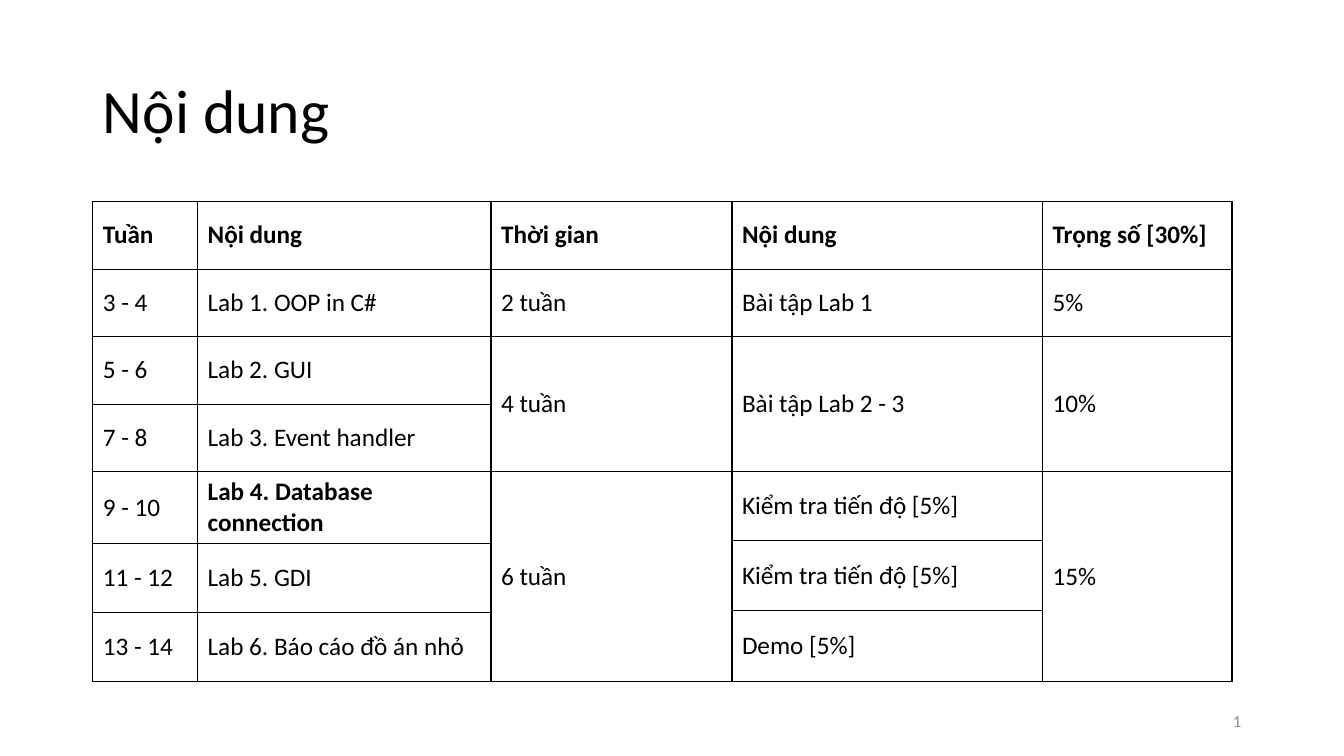
from lxml.etree import SubElement
from pptx import Presentation
from pptx.dml.color import RGBColor
from pptx.enum.text import MSO_ANCHOR, PP_ALIGN
from pptx.oxml.ns import qn
from pptx.util import Inches, Pt

WIDTH, HEIGHT = 13.33, 7.5
FONT, BLACK, GRAY = "Calibri", "000000", "8C8C8C"
COLUMN_WIDTHS = [1.04, 2.91, 2.39, 3.08, 1.88]
ROW_HEIGHTS = [0.67, 0.67, 0.67, 0.67, 0.68, 0.03, 0.67, 0.02, 0.68]
HEADINGS = ["Tuần", "Nội dung", "Thời gian", "Nội dung", "Trọng số [30%]"]
COLUMN_ENTRIES = [
    [(1, 1, "3 - 4"), (2, 1, "5 - 6"), (3, 1, "7 - 8"),
     (4, 2, "9 - 10"), (6, 2, "11 - 12"), (8, 1, "13 - 14")],
    [(1, 1, "Lab 1. OOP in C#"), (2, 1, "Lab 2. GUI"), (3, 1, "Lab 3. Event handler"),
     (4, 2, "Lab 4. Database connection"), (6, 2, "Lab 5. GDI"),
     (8, 1, "Lab 6. Báo cáo đồ án nhỏ")],
    [(1, 1, "2 tuần"), (2, 2, "4 tuần"), (4, 5, "6 tuần")],
    [(1, 1, "Bài tập Lab 1"), (2, 2, "Bài tập Lab 2 - 3"),
     (4, 1, "Kiểm tra tiến độ [5%]"), (5, 2, "Kiểm tra tiến độ [5%]"),
     (7, 2, "Demo [5%]")],
    [(1, 1, "5%"), (2, 2, "10%"), (4, 5, "15%")],
]
BOLD_ENTRIES = {"Lab 4. Database connection"}


def color(hex_string):
    """Turn a hex string into a colour."""
    return RGBColor.from_string(hex_string)


def write_text(frame, text, size=18, bold=False, hex_color=BLACK,
               align=PP_ALIGN.LEFT, line_spacing=1.0):
    """Write one formatted paragraph into a text frame."""
    frame.word_wrap = True
    paragraph = frame.paragraphs[0]
    paragraph.alignment = align
    paragraph.line_spacing = line_spacing
    run = paragraph.add_run()
    run.text = text
    run.font.name = FONT
    run.font.size = Pt(size)
    run.font.bold = bold
    run.font.color.rgb = color(hex_color)


def format_cell(cell, hex_color=BLACK, line_width=1):
    """Give a cell thin borders, no fill and centred height."""
    properties = cell._tc.get_or_add_tcPr()
    for side in ("a:lnL", "a:lnR", "a:lnT", "a:lnB"):
        line = SubElement(properties, qn(side), w=str(Pt(line_width)))
        fill = SubElement(line, qn("a:solidFill"))
        SubElement(fill, qn("a:srgbClr"), val=hex_color)
    cell.fill.background()
    cell.vertical_anchor = MSO_ANCHOR.MIDDLE


def add_title(slide, left, top, width, height):
    """Place the slide title in its placeholder."""
    title = slide.shapes.title
    title.left, title.top = Inches(left), Inches(top)
    title.width, title.height = Inches(width), Inches(height)
    title.text_frame.vertical_anchor = MSO_ANCHOR.MIDDLE
    write_text(title.text_frame, "Nội dung", size=44, line_spacing=0.9)


def add_schedule(slide, left, top):
    """Build the lab schedule with its merged cells."""
    frame = slide.shapes.add_table(
        len(ROW_HEIGHTS), len(COLUMN_WIDTHS), Inches(left), Inches(top),
        Inches(sum(COLUMN_WIDTHS)), Inches(sum(ROW_HEIGHTS)))
    table = frame.table
    table.first_row = table.horz_banding = False
    for column, width in zip(table.columns, COLUMN_WIDTHS):
        column.width = Inches(width)
    for row, height in zip(table.rows, ROW_HEIGHTS):
        row.height = Inches(height)
    for cell in table.iter_cells():
        format_cell(cell)
    for column, (heading, entries) in enumerate(zip(HEADINGS, COLUMN_ENTRIES)):
        write_text(table.cell(0, column).text_frame, heading, bold=True)
        for row, span, text in entries:
            cell = table.cell(row, column)
            if span > 1:
                cell.merge(table.cell(row + span - 1, column))
            write_text(cell.text_frame, text, bold=text in BOLD_ENTRIES)


def add_page_number(slide, left, top, width, height):
    """Place the page number at the lower right."""
    box = slide.shapes.add_textbox(
        Inches(left), Inches(top), Inches(width), Inches(height))
    box.text_frame.vertical_anchor = MSO_ANCHOR.MIDDLE
    write_text(box.text_frame, "1", size=12, hex_color=GRAY, align=PP_ALIGN.RIGHT)


def main():
    """Build the slide and save it."""
    presentation = Presentation()
    presentation.slide_width = Inches(WIDTH)
    presentation.slide_height = Inches(HEIGHT)
    slide = presentation.slides.add_slide(presentation.slide_layouts[5])
    margin = 0.92
    add_title(slide, margin, 0.4, 11.5, 1.45)
    add_schedule(slide, margin, 2)
    add_page_number(slide, WIDTH - margin - 3, 6.95, 3, 0.4)
    presentation.save("out.pptx")


if __name__ == "__main__":
    main()
